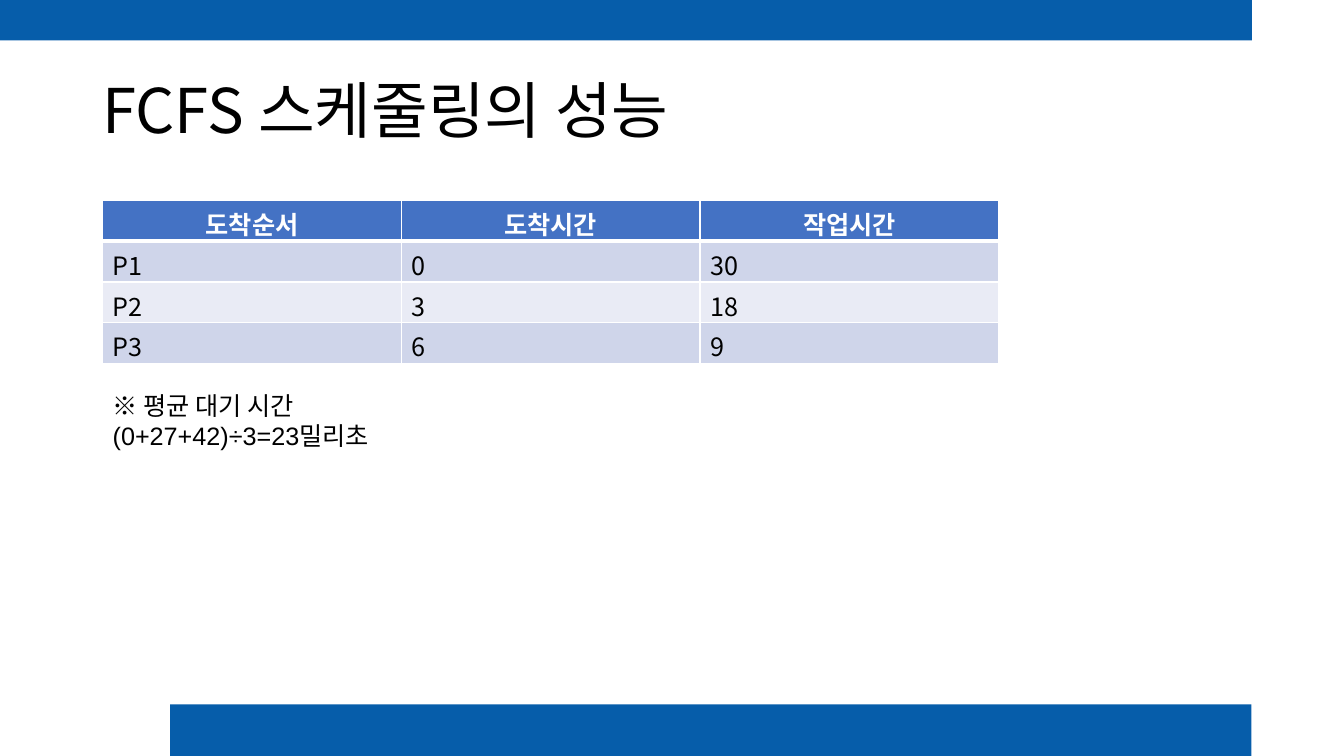
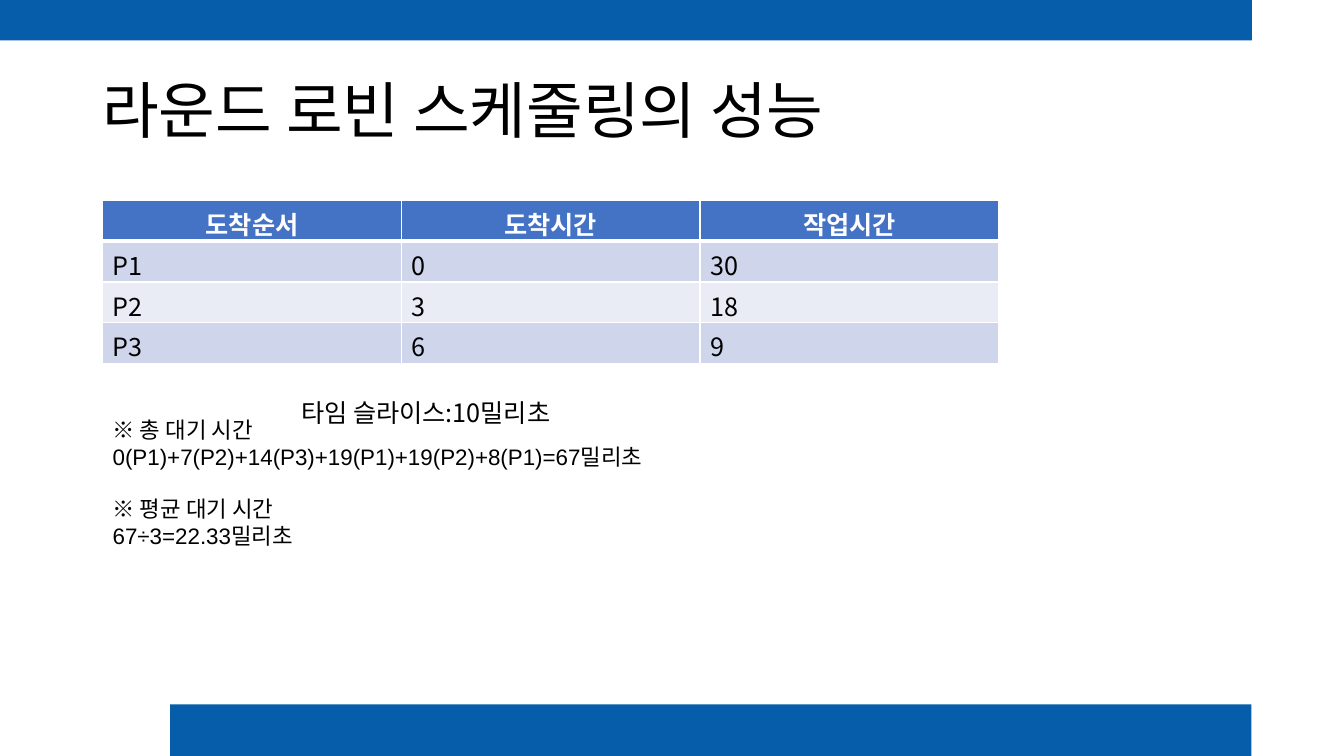
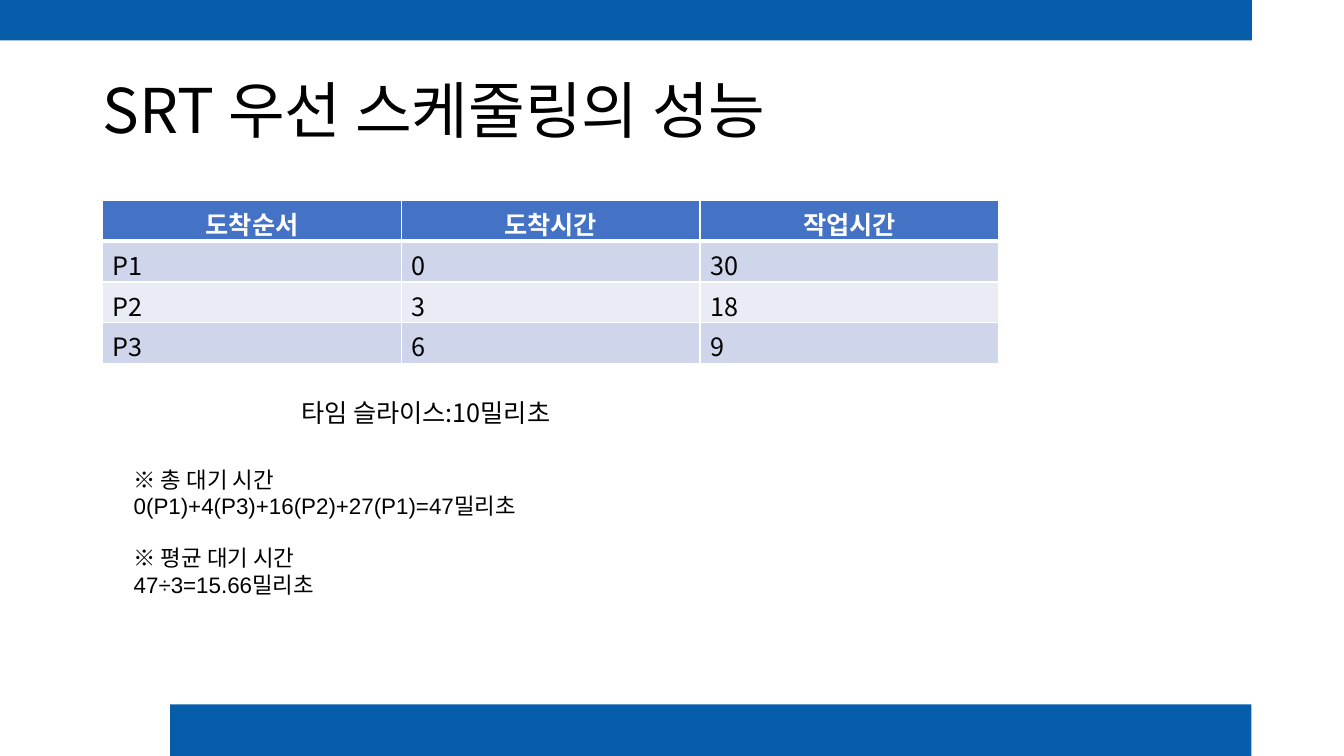
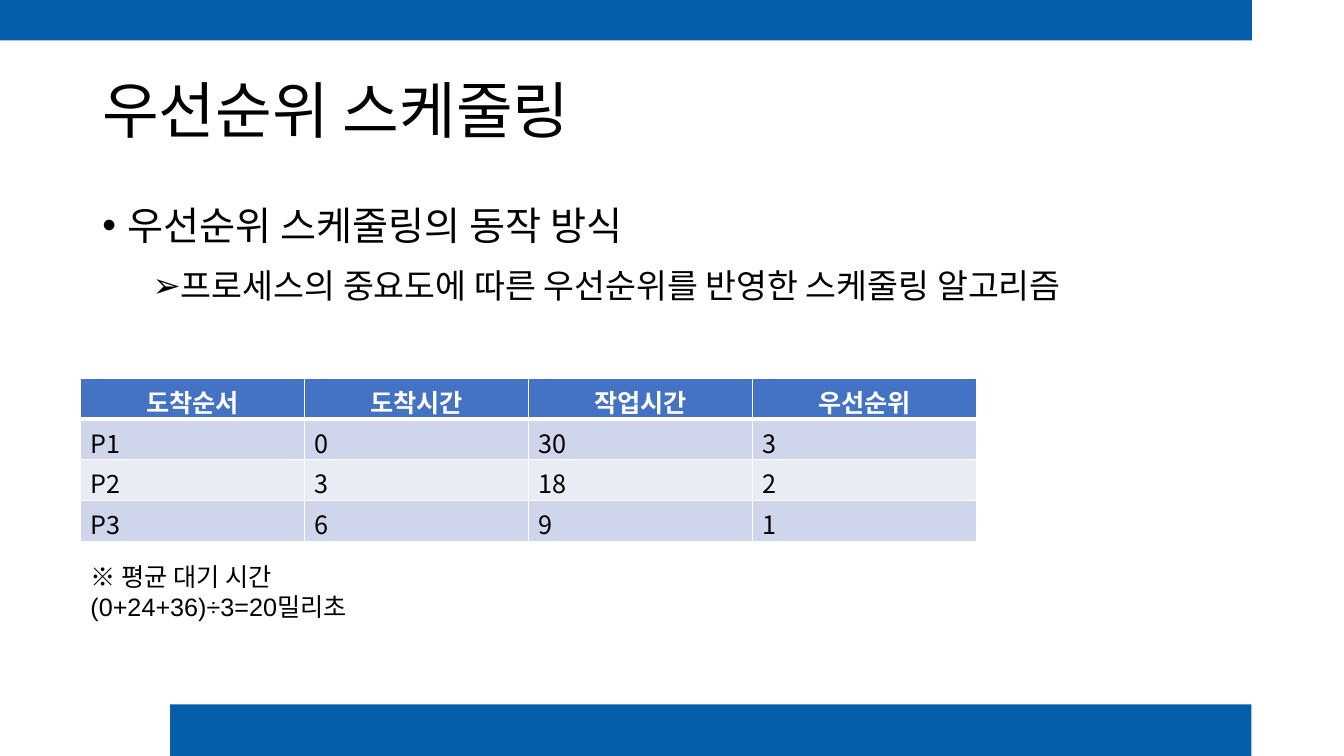
from lxml.etree import SubElement
from pptx import Presentation
from pptx.dml.color import RGBColor
from pptx.enum.shapes import MSO_SHAPE
from pptx.enum.text import MSO_ANCHOR, PP_ALIGN
from pptx.oxml.ns import qn
from pptx.util import Cm, Pt

COLORS = {
    "band": "065DAA",
    "header": "4472C4",
    "odd row": "CFD5EA",
    "even row": "E9EBF5",
    "text": "000000",
    "white": "FFFFFF",
}
KOREAN = "Noto Sans CJK KR"
LATIN = "Arial"

BANDS = [(4.29, 17.75, 27.25, 1.3), (0, 0, 31.55, 1.02)]
TABLE_WIDTH, TABLE_HEIGHT = 22.58, 4.11
HEADINGS = ["도착순서", "도착시간", "작업시간", "우선순위"]
PROCESSES = [["P1", "0", "30", "3"], ["P2", "3", "18", "2"], ["P3", "6", "9", "1"]]

TIME_SLICE = (7.34, 9.88, 7.7, 18, KOREAN, ["타임 슬라이스:10밀리초"])
BULLETS = [
    # text, size, bullet, left margin, space before
    ("우선순위 스케줄링의 동작 방식", 28, "•", 0.64, 10),
    ("프로세스의 중요도에 따른 우선순위를 반영한 스케줄링 알고리즘", 24, "➢", 1.91, 15),
]

# A note is left, top, width, size, font, lines.
SLIDES = [
    {
        "title": "FCFS 스케줄링의 성능",
        "table": (2.59, 5.05, 3),
        "bullets": [],
        "notes": [
            (2.59, 9.7, 7.52, 18, LATIN, ["※ 평균 대기 시간", "(0+27+42)÷3=23밀리초"]),
        ],
    },
    {
        "title": "라운드 로빈 스케줄링의 성능",
        "table": (2.59, 5.05, 3),
        "bullets": [],
        "notes": [
            (2.59, 10.36, 16.71, 16, LATIN, [
                "※ 총 대기 시간",
                "0(P1)+7(P2)+14(P3)+19(P1)+19(P2)+8(P1)=67밀리초",
                "※ 평균 대기 시간",
                "67÷3=22.33밀리초",
            ]),
            TIME_SLICE,
        ],
    },
    {
        "title": "SRT 우선 스케줄링의 성능",
        "table": (2.59, 5.05, 3),
        "bullets": [],
        "notes": [
            TIME_SLICE,
            (3.12, 11.61, 10.31, 16, LATIN, [
                "※ 총 대기 시간",
                "0(P1)+4(P3)+16(P2)+27(P1)=47밀리초",
                "※ 평균 대기 시간",
                "47÷3=15.66밀리초",
            ]),
        ],
    },
    {
        "title": "우선순위 스케줄링",
        "table": (2.03, 9.53, 4),
        "bullets": BULLETS,
        "notes": [
            (2.03, 14.02, 7.44, 18, LATIN, ["※ 평균 대기 시간", "(0+24+36)÷3=20밀리초"]),
        ],
    },
]


def write(paragraph, text, size, font=KOREAN, color="text", bold=False):
    """Fill the paragraph, with the Korean font for its East Asian letters."""
    paragraph.text = text
    for run in paragraph.runs:
        run.font.size = Pt(size)
        run.font.name = font
        run.font.bold = bold
        run.font.color.rgb = RGBColor.from_string(COLORS[color])
        SubElement(run.font._element, qn("a:ea"), typeface=KOREAN)


def add_text_frame(slide, left, top, width, height):
    frame = slide.shapes.add_textbox(Cm(left), Cm(top), Cm(width), Cm(height)).text_frame
    frame.word_wrap = True
    return frame


deck = Presentation()
deck.slide_width, deck.slide_height = Cm(33.87), Cm(19.05)

for content in SLIDES:
    slide = deck.slides.add_slide(deck.slide_layouts[6])

    for bounds in BANDS:
        band = slide.shapes.add_shape(MSO_SHAPE.RECTANGLE, *map(Cm, bounds))
        band.shadow.inherit = False
        band.fill.solid()
        band.fill.fore_color.rgb = RGBColor.from_string(COLORS["band"])
        band.line.fill.background()

    title = add_text_frame(slide, 2.33, 1.02, 29.21, 3.68)
    title.vertical_anchor = MSO_ANCHOR.MIDDLE
    heading = title.paragraphs[0]
    write(heading, content["title"], 44)
    heading.alignment = PP_ALIGN.JUSTIFY
    heading.line_spacing = 0.9

    if content["bullets"]:
        body = add_text_frame(slide, 2.33, 5.08, 29.21, 12.09)
        for index, (text, size, bullet, margin, space) in enumerate(content["bullets"]):
            point = body.add_paragraph() if index else body.paragraphs[0]
            write(point, text, size)
            point.alignment = PP_ALIGN.JUSTIFY
            point.line_spacing = 0.9
            point.space_before = Pt(space)
            properties = point._p.get_or_add_pPr()
            properties.set("marL", str(Cm(margin)))
            properties.set("indent", str(Cm(-0.64)))
            SubElement(properties, qn("a:buFont"), typeface=LATIN)
            SubElement(properties, qn("a:buChar"), char=bullet)

    left, top, column_count = content["table"]
    rows = [HEADINGS] + PROCESSES
    schedule = slide.shapes.add_table(
        len(rows), column_count, Cm(left), Cm(top), Cm(TABLE_WIDTH), Cm(TABLE_HEIGHT)
    ).table
    for row, values in enumerate(rows):
        is_header = row == 0
        fill = "header" if is_header else "odd row" if row % 2 else "even row"
        for column, value in enumerate(values[:column_count]):
            cell = schedule.cell(row, column)
            entry = cell.text_frame.paragraphs[0]
            write(entry, value, 18, color="white" if is_header else "text", bold=is_header)
            entry.alignment = PP_ALIGN.CENTER if is_header else PP_ALIGN.LEFT
            cell_properties = cell._tc.get_or_add_tcPr()
            for side in ("L", "R", "T", "B"):
                thick = (is_header and side == "B") or (row == 1 and side == "T")
                border = SubElement(cell_properties, qn(f"a:ln{side}"), w=str(Pt(3 if thick else 1)))
                border_fill = SubElement(border, qn("a:solidFill"))
                SubElement(border_fill, qn("a:srgbClr"), val=COLORS["white"])
            cell.fill.solid()
            cell.fill.fore_color.rgb = RGBColor.from_string(COLORS[fill])

    for left, top, width, size, font, lines in content["notes"]:
        note = add_text_frame(slide, left, top, width, 0.9 * len(lines))
        for index, text in enumerate(lines):
            line = note.add_paragraph() if index else note.paragraphs[0]
            write(line, text, size, font)
            line.alignment = PP_ALIGN.JUSTIFY
            if index and text.startswith("※"):
                line.space_before = Pt(18)

deck.save("out.pptx")
